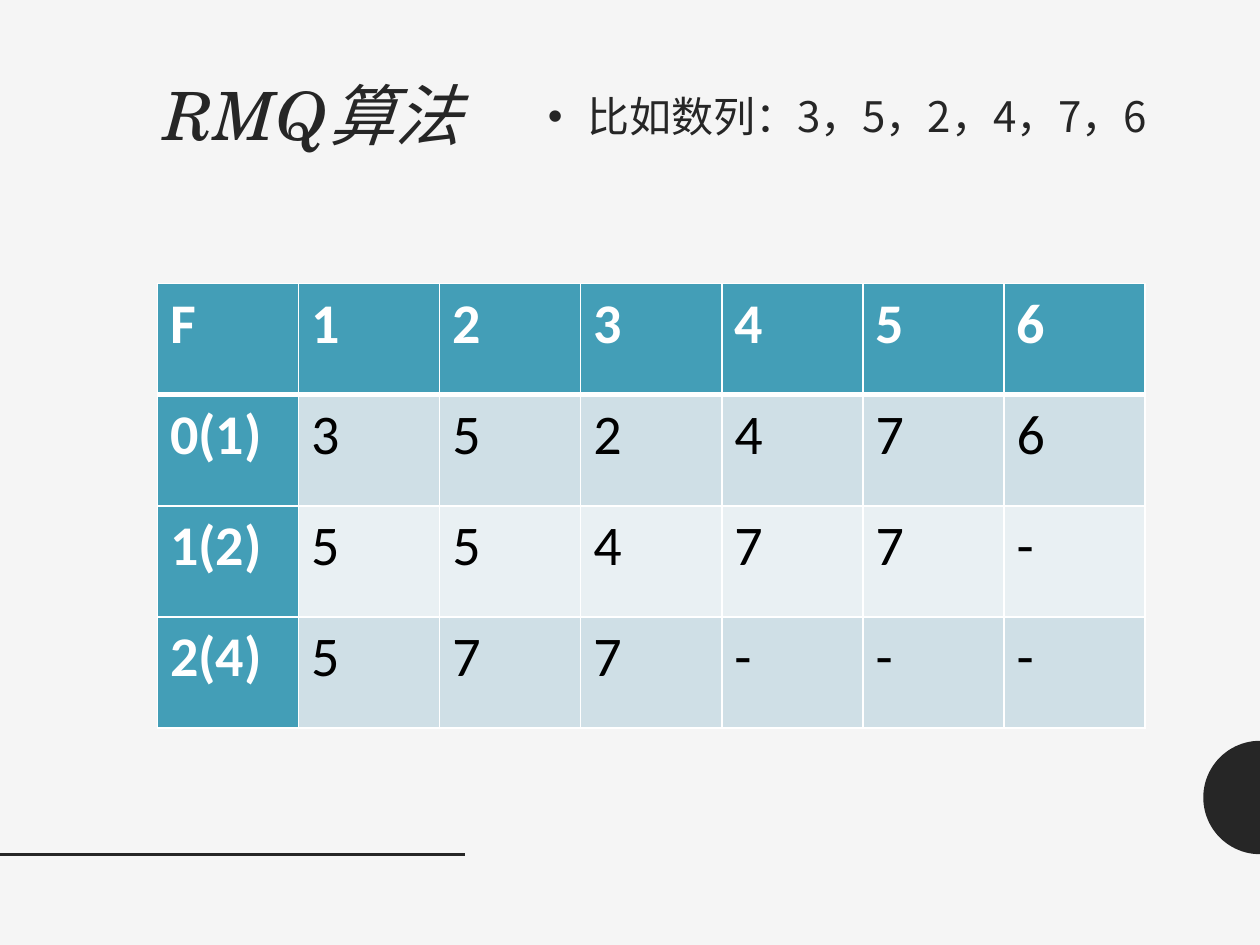
import math

import pptx
import pptx.dml.color
import pptx.enum.shapes
import pptx.enum.text
import pptx.oxml
import pptx.oxml.ns
import pptx.util

RGB = pptx.dml.color.RGBColor
PAPER = RGB(0xF5, 0xF5, 0xF5)
INK = RGB(0x26, 0x26, 0x26)
TEAL = RGB(0x43, 0x9E, 0xB7)
BAND_DARK = RGB(0xCF, 0xDF, 0xE6)
BAND_LIGHT = RGB(0xE9, 0xF0, 0xF3)
WHITE = RGB(0xFF, 0xFF, 0xFF)
BLACK = RGB(0, 0, 0)

SERIF, SANS, CJK = "TeX Gyre Schola", "Calibri", "Noto Sans CJK SC"
GRID_COLUMNS, GRID_ROWS = 80, 60

RMQ_TABLE = [
    ["F", "1", "2", "3", "4", "5", "6"],
    ["0(1)", "3", "5", "2", "4", "7", "6"],
    ["1(2)", "5", "5", "4", "7", "7", "-"],
    ["2(4)", "5", "7", "7", "-", "-", "-"],
]


class SlideBuilder:
    """Places styled elements on one slide, measured in grid columns and rows."""

    def __init__(self, deck):
        self.column = deck.slide_width / GRID_COLUMNS
        self.row = deck.slide_height / GRID_ROWS
        self.slide = deck.slides.add_slide(deck.slide_layouts[5])
        self.slide.background.fill.solid()
        self.slide.background.fill.fore_color.rgb = PAPER

    def x(self, columns):
        return round(columns * self.column)

    def y(self, rows):
        return round(rows * self.row)

    def box(self, left, top, width, height):
        return self.x(left), self.y(top), self.x(width), self.y(height)

    def format_text(self, frame, size, font, color, bold=False, italic=False):
        for paragraph in frame.paragraphs:
            for run in paragraph.runs:
                run.font.size = pptx.util.Pt(size)
                run.font.name = font
                run.font.color.rgb = color
                run.font.bold = bold
                run.font.italic = italic
                run.font._element.append(
                    pptx.oxml.parse_xml(
                        f'<a:ea {pptx.oxml.ns.nsdecls("a")} typeface="{CJK}"/>'))

    def set_top_frame(self, frame):
        frame.word_wrap = True
        frame.auto_size = pptx.enum.text.MSO_AUTO_SIZE.NONE
        frame.vertical_anchor = pptx.enum.text.MSO_ANCHOR.TOP

    def title(self, text, area):
        title = self.slide.shapes.title
        title.left, title.top, title.width, title.height = self.box(*area)
        frame = title.text_frame
        frame.text = text
        self.set_top_frame(frame)
        frame.paragraphs[0].alignment = pptx.enum.text.PP_ALIGN.RIGHT
        frame.paragraphs[0].line_spacing = 0.9
        self.format_text(frame, 38, SERIF, INK, italic=True)

    def bullet(self, text, area):
        frame = self.slide.shapes.add_textbox(*self.box(*area)).text_frame
        frame.text = text
        self.set_top_frame(frame)
        paragraph = frame.paragraphs[0]
        paragraph.line_spacing = 1.12
        paragraph.space_before = pptx.util.Pt(9)
        properties = paragraph._p.get_or_add_pPr()
        indent = self.x(2.5)
        properties.set("marL", str(indent))
        properties.set("indent", str(-indent))
        for mark in ('buFont %s typeface="Arial"', 'buChar %s char="•"'):
            properties.append(pptx.oxml.parse_xml(
                f'<a:{mark % pptx.oxml.ns.nsdecls("a")}/>'))
        self.format_text(frame, 24, CJK, INK)

    def line(self, start, end):
        line = self.slide.shapes.add_connector(
            pptx.enum.shapes.MSO_CONNECTOR.STRAIGHT,
            self.x(start[0]), self.y(start[1]), self.x(end[0]), self.y(end[1]))
        line.line.color.rgb = INK
        line.line.width = pptx.util.Pt(2)
        line._element.spPr.append(pptx.oxml.parse_xml(
            f'<a:effectLst {pptx.oxml.ns.nsdecls("a")}/>'))

    def left_half_disc(self, center, radius, steps=48):
        angles = [math.pi * (0.5 + step / steps) for step in range(steps + 1)]
        points = [(self.x(center[0] + radius * math.cos(angle)),
                   self.y(center[1] + radius * math.sin(angle)))
                  for angle in angles]
        outline = self.slide.shapes.build_freeform(*points[0])
        outline.add_line_segments(points[1:], close=True)
        disc = outline.convert_to_shape()
        disc.shadow.inherit = False
        disc.fill.solid()
        disc.fill.fore_color.rgb = INK
        disc.line.fill.background()

    def cell_borders(self, cell, top, bottom):
        properties = cell._tc.get_or_add_tcPr()
        for side, points in (("L", 1), ("R", 1), ("T", top), ("B", bottom)):
            properties.append(pptx.oxml.parse_xml(
                f'<a:ln{side} {pptx.oxml.ns.nsdecls("a")} w="{pptx.util.Pt(points)}">'
                f'<a:solidFill><a:srgbClr val="{WHITE}"/></a:solidFill></a:ln{side}>'))

    def table(self, values, left, top, cell_width, cell_height):
        rows, columns = len(values), len(values[0])
        area = self.box(left, top, cell_width * columns, cell_height * rows)
        table = self.slide.shapes.add_table(rows, columns, *area).table
        for column in table.columns:
            column.width = self.x(cell_width)
        for r, row_values in enumerate(values):
            table.rows[r].height = self.y(cell_height)
            for c, value in enumerate(row_values):
                cell = table.cell(r, c)
                heading = r == 0 or c == 0
                band = BAND_DARK if r % 2 else BAND_LIGHT
                self.cell_borders(cell, 3 if r == 1 else 1, 3 if r == 0 else 1)
                cell.fill.solid()
                cell.fill.fore_color.rgb = TEAL if heading else band
                cell.text_frame.text = value
                self.format_text(cell.text_frame, 32, SANS,
                                 WHITE if heading else BLACK, bold=heading)


def main():
    deck = pptx.Presentation()
    deck.slide_width = pptx.util.Inches(10)
    deck.slide_height = pptx.util.Inches(7.5)

    page = SlideBuilder(deck)
    page.left_half_disc(center=(GRID_COLUMNS, 50.64), radius=3.6)
    page.line((0, 54.24), (29.52, 54.24))
    page.title("RMQ算法", (5, 4.9, 25.1, 43.4))
    page.bullet("比如数列：3，5，2，4，7，6", (34, 5, 41, 49.4))
    page.table(RMQ_TABLE, left=10, top=18, cell_width=8.96, cell_height=7.06)
    deck.save("out.pptx")


if __name__ == "__main__":
    main()
